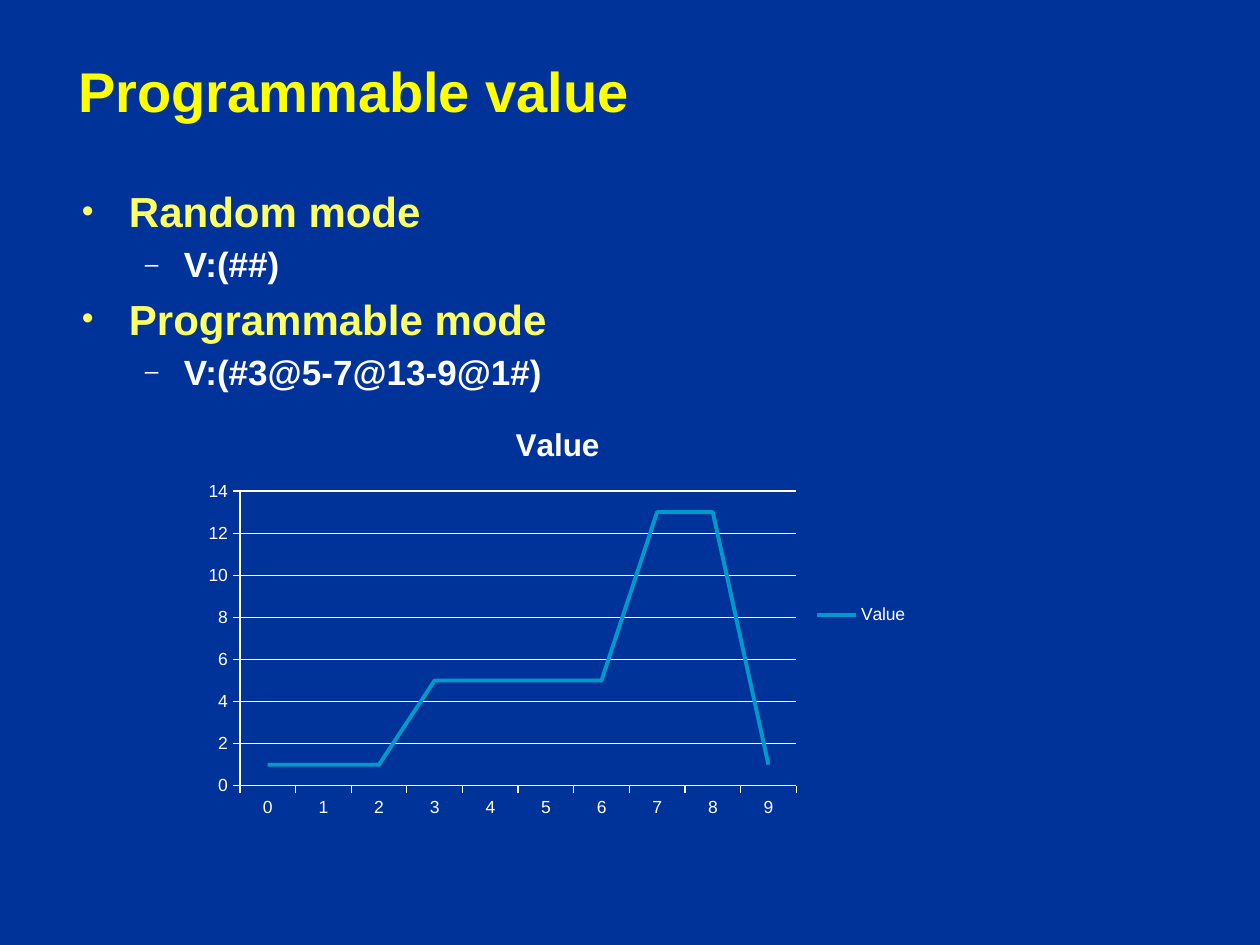
from lxml import etree
from pptx import Presentation
from pptx.chart.data import CategoryChartData
from pptx.dml.color import RGBColor as RGB
from pptx.enum.chart import XL_CHART_TYPE as CT, XL_LEGEND_POSITION as LP, XL_TICK_MARK as TM
from pptx.enum.text import MSO_ANCHOR, MSO_AUTO_SIZE, PP_ALIGN
from pptx.oxml.ns import qn
from pptx.util import Cm, Pt

COLORS = {"back": "003399", "title": "FFFF00", "item": "FFFF66",
          "text": "FFFFFF", "line": "0099CC", "shadow": "000000"}
LEVELS = [
    {"char": "•", "scale": 80, "left": 0.95, "hang": 0.95, "size": 24, "color": "item"},
    {"char": "–", "scale": 70, "left": 2.06, "hang": 0.79, "size": 20, "color": "text"},
]
ITEMS = [(0, "Random mode"), (1, "V:(##)"),
         (0, "Programmable mode"), (1, "V:(#3@5-7@13-9@1#)")]
VALUES = [1, 1, 1, 5, 5, 5, 5, 13, 13, 1]


def rgb(name):
    """Return the named colour."""
    return RGB.from_string(COLORS[name])


def sub(parent, tag, **attrs):
    """Append a DrawingML element and return it."""
    return etree.SubElement(parent, qn(tag), {k: str(v) for k, v in attrs.items()})


def set_font(font, size, color="text", bold=False):
    """Format a font."""
    font.name, font.size, font.bold = "Arial", Pt(size), bold
    font.color.rgb = rgb(color)


def add_text(p, text, size=20, color="text", bold=True, before=0, spacing=1.0):
    """Write one formatted run in a paragraph and return the run."""
    p.alignment = PP_ALIGN.LEFT
    p.line_spacing, p.space_before = spacing, Pt(before)
    r = p.add_run()
    r.text = text
    set_font(r.font, size, color, bold)
    return r


def add_shadow(r):
    """Give a run a hard shadow down and to the right."""
    fx = etree.Element(qn("a:effectLst"))
    shadow = sub(fx, "a:outerShdw", dist=Cm(0.1), dir=2700000, algn="tl")
    sub(shadow, "a:srgbClr", val=COLORS["shadow"])
    r.font.fill._xPr.find(qn("a:solidFill")).addnext(fx)


def add_bullet(p, char, scale, left, hang, color):
    """Give a paragraph a hanging bullet."""
    pPr = p._p.get_or_add_pPr()
    pPr.set("marL", str(Cm(left)))
    pPr.set("indent", str(-Cm(hang)))
    sub(sub(pPr, "a:buClr"), "a:srgbClr", val=COLORS[color])
    sub(pPr, "a:buSzPct", val=scale * 1000)
    sub(pPr, "a:buFont", typeface="Arial")
    sub(pPr, "a:buChar", char=char)


def set_title(s, text):
    """Place and format the title."""
    sp = s.shapes.title
    sp.left, sp.top, sp.width, sp.height = Cm(1.32), Cm(0.89), Cm(22.68), Cm(2.08)
    tf = sp.text_frame
    tf.auto_size, tf.vertical_anchor = MSO_AUTO_SIZE.NONE, MSO_ANCHOR.MIDDLE
    add_shadow(add_text(tf.paragraphs[0], text, size=32, color="title", spacing=0.85))


def add_list(s, items):
    """Add the two-level bullet list."""
    tf = s.shapes.add_textbox(Cm(1.4), Cm(3.61), Cm(22.53), Cm(13)).text_frame
    tf.word_wrap = True
    for i, (level, text) in enumerate(items):
        p = tf.add_paragraph() if i else tf.paragraphs[0]
        p.level = level
        fmt = dict(LEVELS[level])
        size = fmt.pop("size")
        add_text(p, text, size=size, color=fmt["color"], before=size * 0.2)
        add_bullet(p, **fmt)


def set_line(line, color, width):
    """Format a line."""
    line.color.rgb, line.width = rgb(color), Pt(width)


def add_line_chart(s, name, values):
    """Add the line chart with its title, legend and axes."""
    data = CategoryChartData()
    data.categories = [str(i) for i in range(len(values))]
    data.add_series(name, values)
    chart = s.shapes.add_chart(CT.LINE, Cm(3.91), Cm(8.13), Cm(14.66), Cm(8.53), data).chart
    set_font(chart.font, 10)
    chart.has_title = True
    add_text(chart.chart_title.text_frame.paragraphs[0], name, size=18)
    chart.chart_title.include_in_layout = False
    chart.has_legend = True
    chart.legend.position, chart.legend.include_in_layout = LP.RIGHT, False
    for axis in (chart.category_axis, chart.value_axis):
        axis.major_tick_mark, axis.minor_tick_mark = TM.OUTSIDE, TM.NONE
        set_line(axis.format.line, "text", 0.75)
    axis = chart.value_axis
    axis.minimum_scale, axis.maximum_scale, axis.major_unit = 0, 14, 2
    axis.has_major_gridlines = True
    set_line(axis.major_gridlines.format.line, "text", 0.75)
    chart.plots[0].vary_by_categories = False
    series = chart.plots[0].series[0]
    series.smooth = False
    set_line(series.format.line, "line", 2.25)


def main():
    """Build and save the slide."""
    prs = Presentation()
    prs.slide_width, prs.slide_height = Cm(25.4), Cm(19.05)
    s = prs.slides.add_slide(prs.slide_layouts[5])
    s.background.fill.solid()
    s.background.fill.fore_color.rgb = rgb("back")
    set_title(s, "Programmable value")
    add_list(s, ITEMS)
    add_line_chart(s, "Value", VALUES)
    prs.save("out.pptx")


main()
